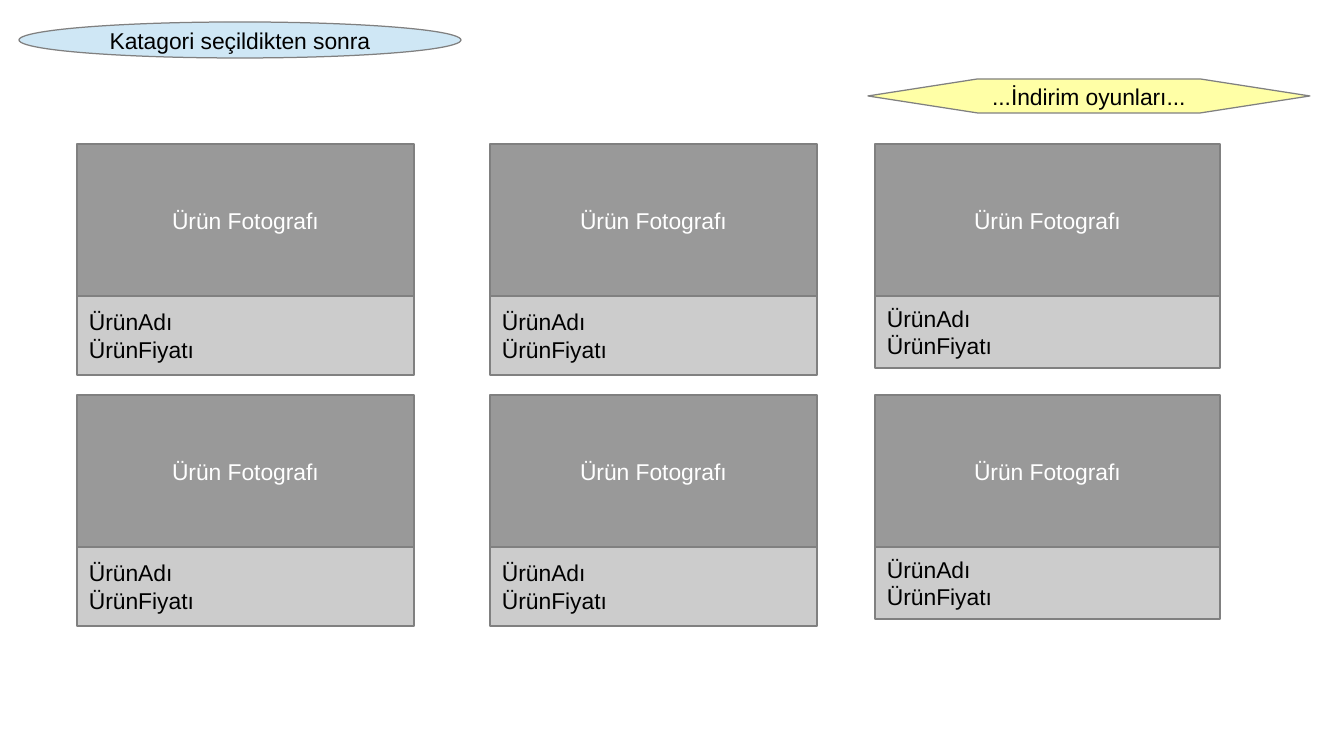
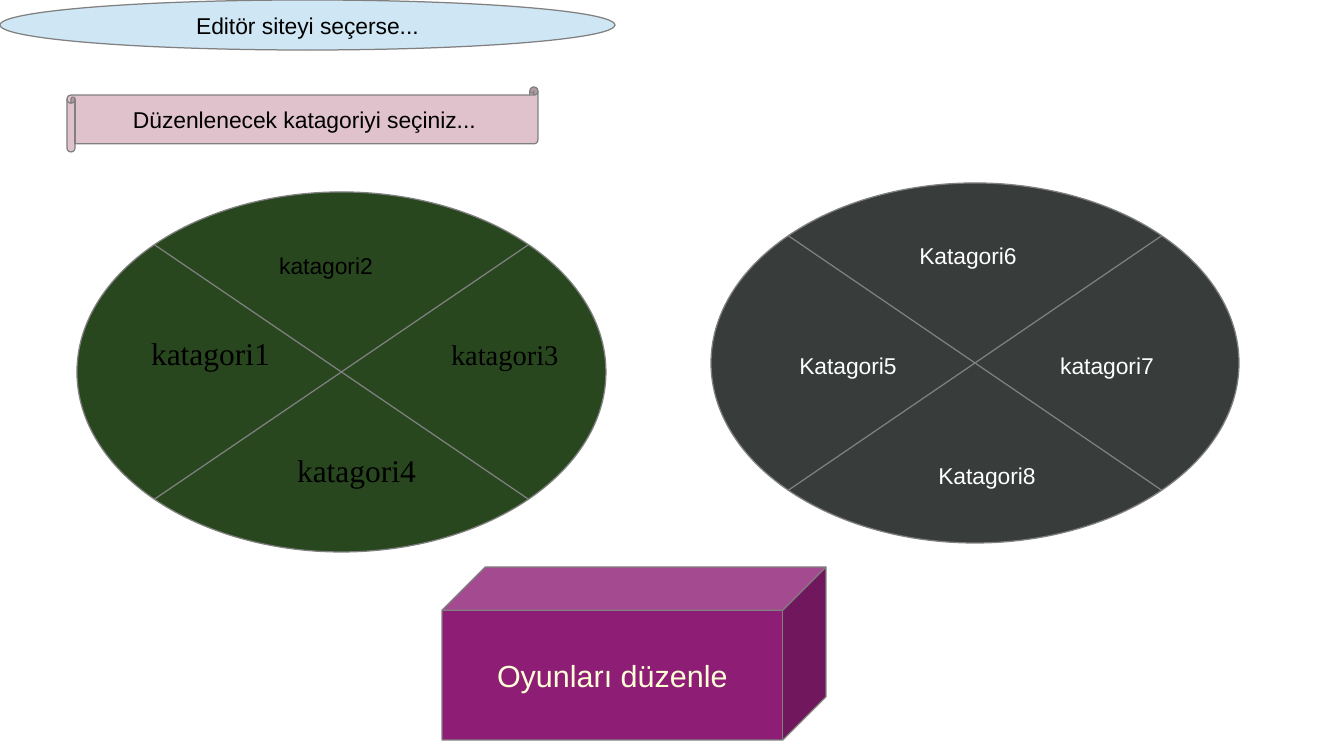
from lxml import etree
from pptx import Presentation
from pptx.dml.color import RGBColor
from pptx.enum.shapes import MSO_SHAPE
from pptx.enum.text import MSO_ANCHOR, MSO_AUTO_SIZE, PP_ALIGN
from pptx.oxml.ns import qn
from pptx.util import Emu, Pt

RECT, OVAL, HEXAGON = MSO_SHAPE.RECTANGLE, MSO_SHAPE.OVAL, MSO_SHAPE.HEXAGON
SCROLL, CUBE = MSO_SHAPE.HORIZONTAL_SCROLL, MSO_SHAPE.CUBE
WHEEL = MSO_SHAPE.FLOWCHART_SUMMING_JUNCTION
CENTER, LEFT = PP_ALIGN.CENTER, PP_ALIGN.LEFT
TOP, MIDDLE = MSO_ANCHOR.TOP, MSO_ANCHOR.MIDDLE
NO_FIT = MSO_AUTO_SIZE.NONE

BLACK, WHITE, OUTLINE = "000000", "FFFFFF", "808080"
TITLE_FILL, PHOTO_FILL, CAPTION_FILL = "CFE7F5", "999999", "CCCCCC"
SANS, SERIF = "Arial", "Times New Roman"
TEXT_SIZE = 13.5
PX_PER_INCH = 122
TITLE_ONLY, COMPARISON = 5, 4

CARD_COLUMNS = [(77, 337, 79), (490, 327, 79), (875, 345, 72)]
CARD_ROWS = [144, 395]
PHOTO_HEIGHT = 152
LABEL_WIDTH, LABEL_HEIGHT = 140, 30
LABEL_INDENT = 57


def px(length):
    """Turn a length in px into EMU."""
    return Emu(round(length * 914400 / PX_PER_INCH))


def color(hex_string):
    """Return the colour for a hex string."""
    return RGBColor.from_string(hex_string)


def place(shape, box):
    """Move a shape to left, top, width, height."""
    shape.left, shape.top, shape.width, shape.height = map(px, box)


def write(shape, lines, ink=BLACK, size=TEXT_SIZE, font=SANS, align=CENTER, anchor=MIDDLE):
    """Fill a shape with plain paragraphs in one style."""
    frame = shape.text_frame
    frame.text = "\n".join(lines)
    frame.auto_size = NO_FIT
    frame.word_wrap = False
    frame.vertical_anchor = anchor
    for paragraph in frame.paragraphs:
        properties = paragraph._p.get_or_add_pPr()
        properties.set("marL", "0")
        properties.set("indent", "0")
        etree.SubElement(properties, qn("a:buNone"))
        paragraph.alignment = align
        paragraph.space_before = Pt(0)
        paragraph.font.name = font
        paragraph.font.size = Pt(size)
        paragraph.font.bold = False
        paragraph.font.color.rgb = color(ink)


def add_figure(slide, kind, box, fill, lines=(), **style):
    """Add a filled preset shape with a hairline outline."""
    figure = slide.shapes.add_shape(kind, *map(px, box))
    figure.shadow.inherit = False
    figure.fill.solid()
    figure.fill.fore_color.rgb = color(fill)
    figure.line.color.rgb = color(OUTLINE)
    figure.line.width = Pt(0)
    if lines:
        write(figure, lines, **style)
    return figure


def bring_to_front(shape):
    """Put a shape above everything drawn so far."""
    tree = shape._element.getparent()
    tree.append(shape._element)


def add_titled_slide(deck, layout, title, box):
    """Add a slide whose title sits on a pale blue ellipse."""
    slide = deck.slides.add_slide(deck.slide_layouts[layout])
    add_figure(slide, OVAL, box, TITLE_FILL)
    heading = slide.shapes.title
    place(heading, box)
    write(heading, [title])
    bring_to_front(heading)
    return slide


def add_product_card(slide, left, top, width, caption_height):
    """Add a product photo area with its caption below."""
    add_figure(slide, RECT, (left, top, width, PHOTO_HEIGHT), PHOTO_FILL,
               ["Ürün Fotografı"], ink=WHITE)
    add_figure(slide, RECT, (left, top + PHOTO_HEIGHT, width, caption_height),
               CAPTION_FILL, ["ÜrünAdı", "ÜrünFiyatı"], align=LEFT)


def add_wheel_label(slide, text, center_x, center_y, ink):
    """Add a category label centred on a point."""
    box = (center_x - LABEL_WIDTH / 2, center_y - LABEL_HEIGHT / 2,
           LABEL_WIDTH, LABEL_HEIGHT)
    write(slide.shapes.add_textbox(*map(px, box)), [text], ink=ink)


def fill_body_label(placeholder, text, box, size):
    """Set a body placeholder as a serif category label."""
    place(placeholder, box)
    write(placeholder, [text], size=size, font=SERIF, align=LEFT, anchor=TOP)
    frame = placeholder.text_frame
    frame.margin_left = px(LABEL_INDENT)
    frame.margin_top = frame.margin_right = frame.margin_bottom = 0
    bring_to_front(placeholder)


def remove_empty_placeholders(slide):
    """Delete the placeholders that hold no text."""
    for placeholder in list(slide.placeholders):
        if not placeholder.text_frame.text:
            placeholder._element.getparent().remove(placeholder._element)


def build_products(deck):
    """Build the product grid slide."""
    slide = add_titled_slide(deck, TITLE_ONLY, "Katagori seçildikten sonra",
                             (19, 22, 442, 36))
    for top in CARD_ROWS:
        for left, width, caption_height in CARD_COLUMNS:
            add_product_card(slide, left, top, width, caption_height)
    offer = add_figure(slide, HEXAGON, (868, 79, 442, 34), "FFFFA6",
                       ["...İndirim oyunları..."])
    offer.adjustments[0] = 3.22


def build_categories(deck):
    """Build the category selection slide."""
    slide = add_titled_slide(deck, COMPARISON, "Editör siteyi seçerse...",
                             (0, 0, 615, 50))
    add_figure(slide, SCROLL, (67, 87, 471, 65), "E0C2CD",
               ["Düzenlenecek katagoriyi seçiniz..."])
    add_figure(slide, WHEEL, (77, 192, 529, 360), "28471F")
    add_figure(slide, WHEEL, (711, 183, 528, 360), "383D3C")
    for text, center_x, center_y, ink in [
        ("katagori2", 326, 265, BLACK),
        ("Katagori6", 968, 255, WHITE),
        ("Katagori5", 848, 365, WHITE),
        ("katagori7", 1107, 365, WHITE),
        ("Katagori8", 987, 475, WHITE),
    ]:
        add_wheel_label(slide, text, center_x, center_y, ink)
    bodies = [item for item in slide.placeholders if item.placeholder_format.idx]
    labels = [
        ("katagori1", (94, 334, 240, 29), 18.6),
        ("katagori3", (394, 337, 170, 33), 16.8),
        ("katagori4", (240, 451, 211, 29), 18.6),
    ]
    for placeholder, label in zip(bodies, labels):
        fill_body_label(placeholder, *label)
    add_figure(slide, CUBE, (442, 567, 384, 173), "8D1D75",
               ["Oyunları düzenle"], ink="FFFFD7", size=18)
    remove_empty_placeholders(slide)


def main():
    """Build and save the deck."""
    deck = Presentation()
    deck.slide_width, deck.slide_height = px(1344), px(756)
    build_products(deck)
    build_categories(deck)
    deck.save("out.pptx")


if __name__ == "__main__":
    main()
